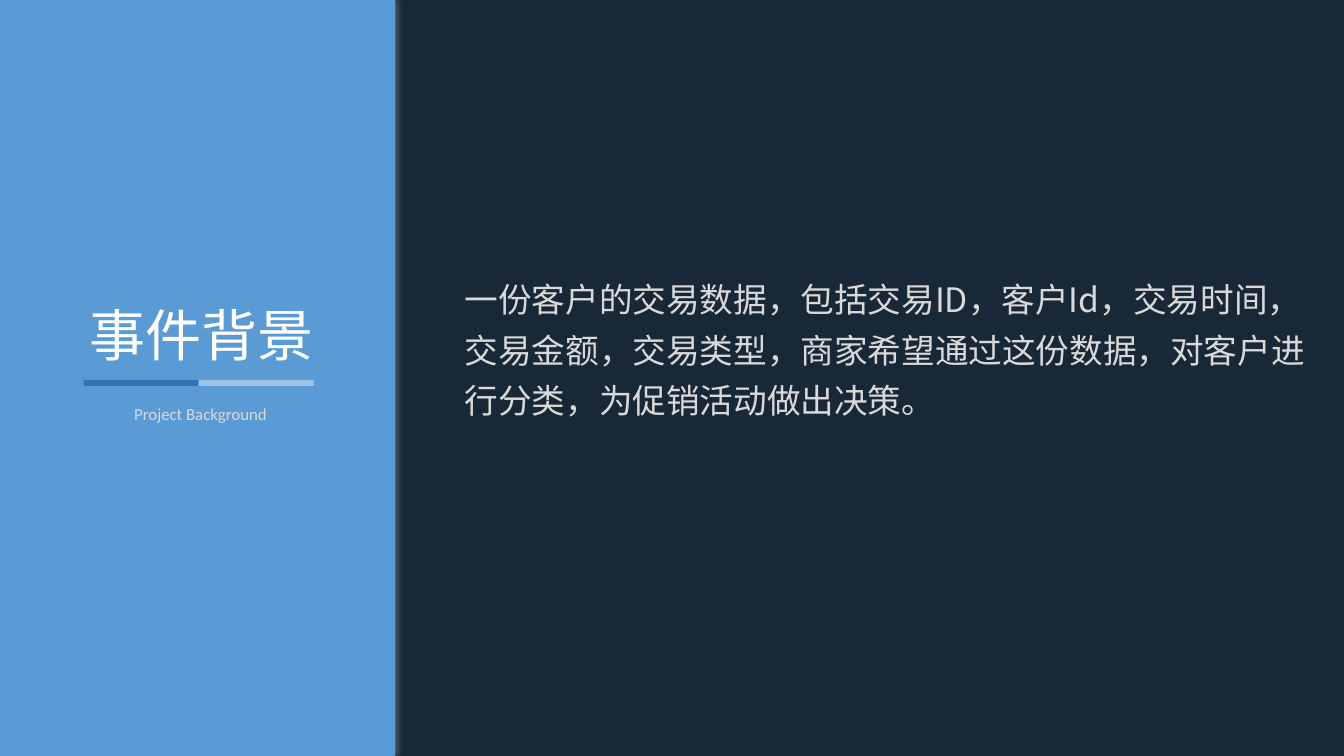
from lxml.etree import SubElement
from pptx import Presentation
from pptx.dml.color import RGBColor
from pptx.enum.shapes import MSO_SHAPE
from pptx.enum.text import MSO_ANCHOR, MSO_AUTO_SIZE, PP_ALIGN
from pptx.oxml.ns import qn
from pptx.util import Inches, Pt

WIDTH, HEIGHT = Inches(13.33), Inches(7.5)
NIGHT = RGBColor(0x18, 0x28, 0x37)
BLUE = RGBColor(0x5B, 0x9B, 0xD5)
DEEP_BLUE = RGBColor(0x2E, 0x75, 0xB6)
PALE_BLUE = RGBColor(0x9D, 0xC3, 0xE6)
SHADOW = RGBColor(0xAF, 0xAB, 0xAB)
WHITE = RGBColor(0xFF, 0xFF, 0xFF)
LIGHT_GREY = RGBColor(0xD9, 0xD9, 0xD9)
CHINESE_FONT = "Noto Sans CJK SC"
LATIN_FONT = "Calibri"

PANEL_WIDTH = Inches(3.92)
RULE_LEFT, RULE_TOP = Inches(0.83), Inches(3.77)
RULE_WIDTH, RULE_HEIGHT = Inches(1.14), Inches(0.06)


def add_block(slide, left, top, width, height, color):
    block = slide.shapes.add_shape(MSO_SHAPE.RECTANGLE, left, top, width, height)
    block.shadow.inherit = False
    block.fill.solid()
    block.fill.fore_color.rgb = color
    block.line.fill.background()
    return block


def cast_shadow(block):
    effects = block._element.spPr.find(qn("a:effectLst"))
    outer = SubElement(effects, qn("a:outerShdw"), blurRad=str(Pt(4)),
                       dist=str(Pt(2)), dir="0", algn="l", rotWithShape="0")
    color = SubElement(outer, qn("a:srgbClr"), val=str(SHADOW))
    SubElement(color, qn("a:alpha"), val="40000")


def write(box, text, size, font, color, align, spacing, anchor=MSO_ANCHOR.TOP):
    frame = box.text_frame
    frame.text = text
    frame.word_wrap = True
    frame.auto_size = MSO_AUTO_SIZE.NONE
    frame.vertical_anchor = anchor
    paragraph = frame.paragraphs[0]
    paragraph.alignment = align
    paragraph.line_spacing = spacing
    for run in paragraph.runs:
        run.font.size = Pt(size)
        run.font.name = font
        run.font.color.rgb = color
        SubElement(run.font._element, qn("a:ea"), typeface=font)
    return paragraph


def add_heading(slide):
    heading = slide.shapes.title
    heading.left, heading.top = Inches(-0.66), Inches(2.6)
    heading.width, heading.height = Inches(5.32), Inches(0.98)
    paragraph = write(heading, "事件背景", 40, CHINESE_FONT, WHITE,
                      PP_ALIGN.CENTER, 1.5)
    paragraph.space_before = Pt(8)
    slide.shapes._spTree.append(heading._element)


def add_caption(slide):
    caption = slide.shapes.add_textbox(
        Inches(0.41), Inches(3.91), Inches(3.16), Inches(0.4))
    write(caption, "Project Background", 12, LATIN_FONT, LIGHT_GREY,
          PP_ALIGN.CENTER, 1.0, MSO_ANCHOR.MIDDLE)


def add_description(slide):
    description = slide.shapes.add_textbox(
        Inches(4.51), Inches(2.62), Inches(8.57), Inches(1.57))
    write(description,
          "一份客户的交易数据，包括交易ID，客户Id，交易时间，交易金额，交易类型，"
          "商家希望通过这份数据，对客户进行分类，为促销活动做出决策。",
          24, CHINESE_FONT, LIGHT_GREY, PP_ALIGN.LEFT, Pt(36))


def main():
    deck = Presentation()
    deck.slide_width, deck.slide_height = WIDTH, HEIGHT
    slide = deck.slides.add_slide(deck.slide_layouts[5])
    slide.background.fill.solid()
    slide.background.fill.fore_color.rgb = NIGHT

    cast_shadow(add_block(slide, 0, 0, PANEL_WIDTH, HEIGHT, BLUE))
    add_heading(slide)
    for column, color in enumerate((DEEP_BLUE, PALE_BLUE)):
        add_block(slide, RULE_LEFT + column * RULE_WIDTH, RULE_TOP,
                  RULE_WIDTH, RULE_HEIGHT, color)
    add_caption(slide)
    add_description(slide)
    deck.save("out.pptx")


if __name__ == "__main__":
    main()
